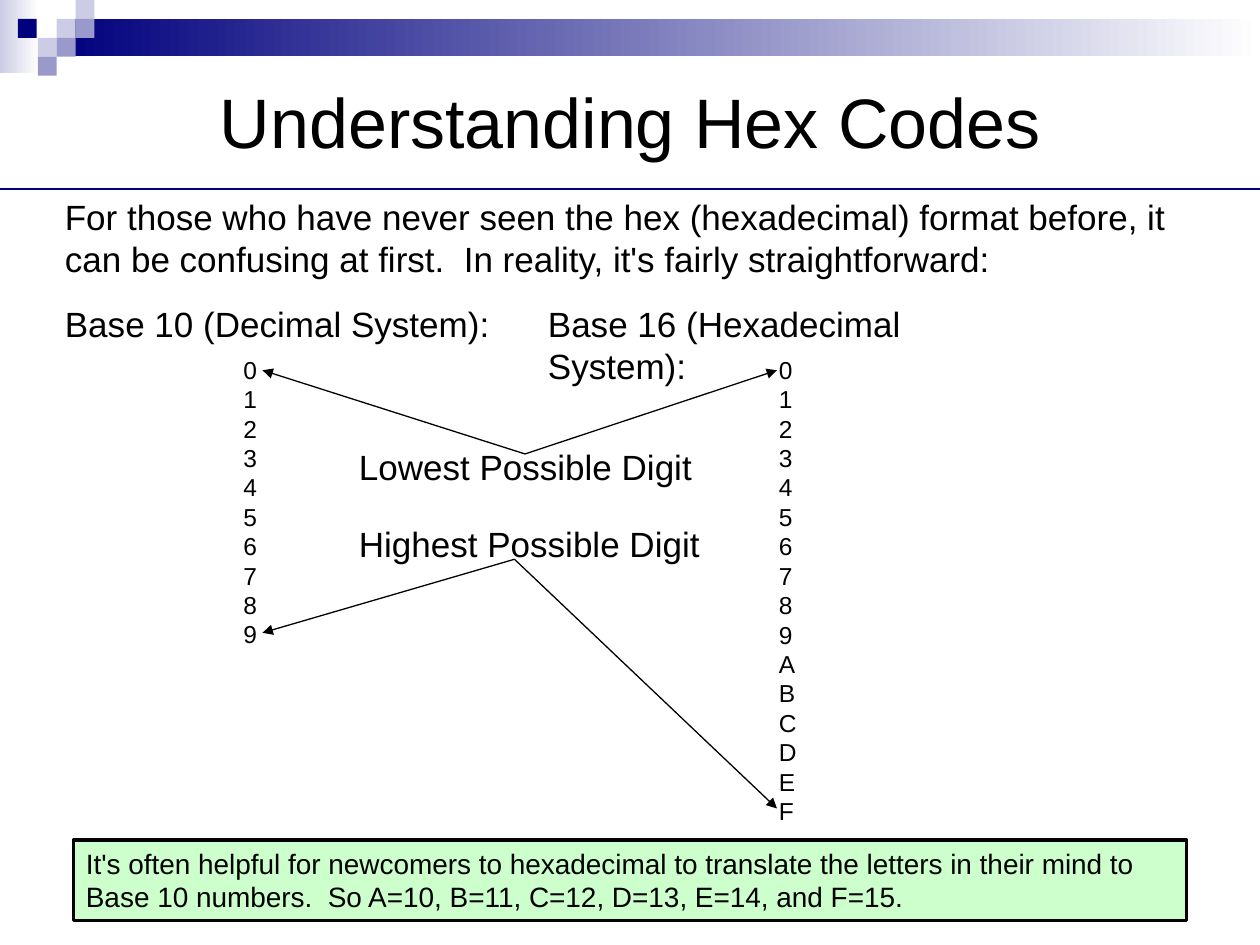
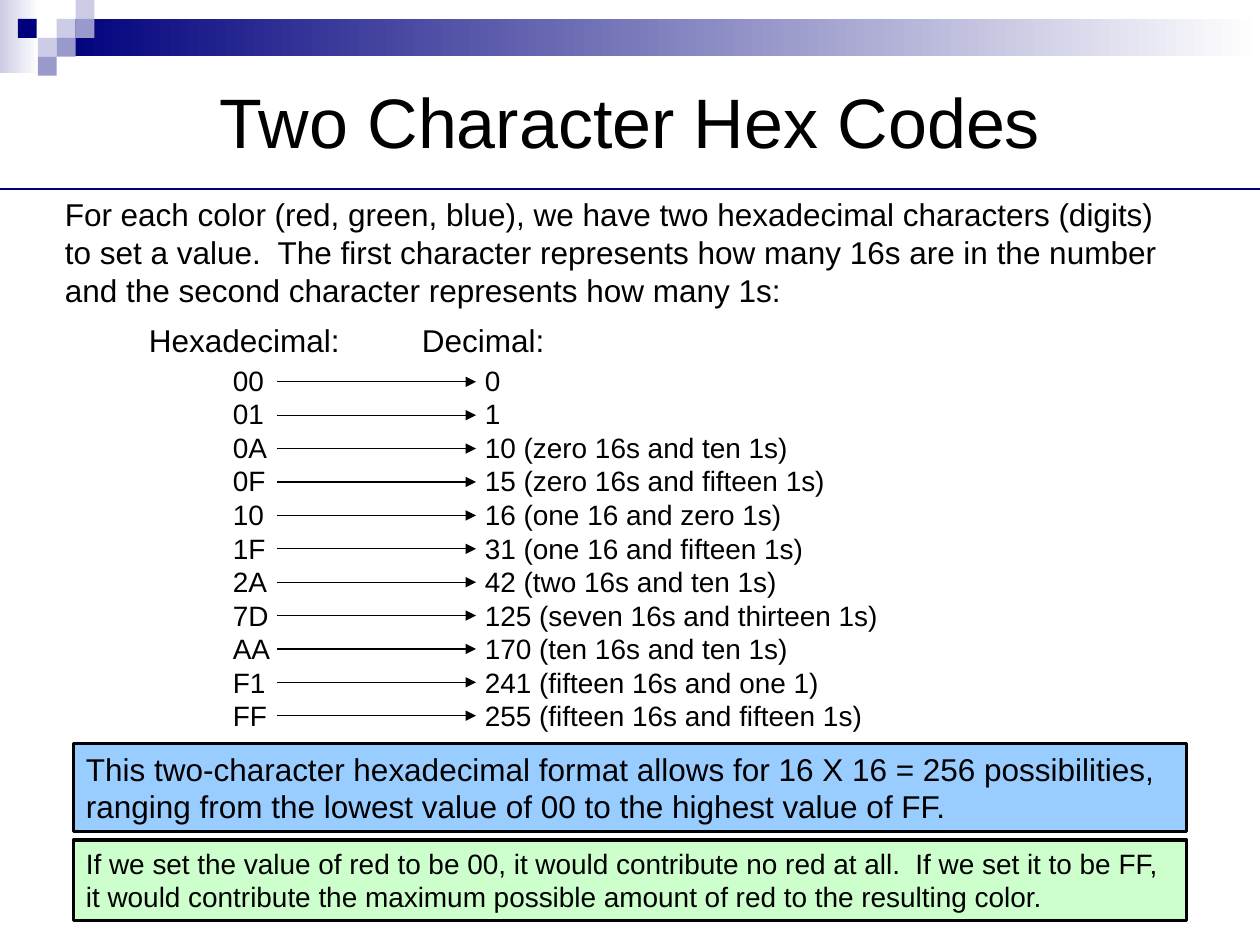
from dataclasses import dataclass

from pptx import Presentation
from pptx.dml.color import RGBColor
from pptx.enum.shapes import MSO_CONNECTOR as CONN, MSO_SHAPE as SHAPE
from pptx.enum.text import MSO_ANCHOR as ANCHOR, MSO_AUTO_SIZE as FIT, PP_ALIGN as ALIGN
from pptx.oxml.ns import qn
from pptx.util import Pt

# Shared look
FONT = "Arial"
BLACK, WHITE = "000000", "FFFFFF"
NAVY, LILAC, LAVENDER = "00007D", "9999CC", "CCCCE6"
MINT, SKY = "CCFFCC", "99CCFF"
SLIDE_W, SLIDE_H = 720, 540
RULE_Y = 108
CELL = 10.8  # side of one square of the corner mosaic


@dataclass
class Box:
    left: float
    top: float
    width: float
    height: float

    def emu(self):
        return Pt(self.left), Pt(self.top), Pt(self.width), Pt(self.height)


@dataclass
class Label:
    box: Box
    lines: list[str]
    size: float


@dataclass
class Callout:
    box: Box
    text: str
    size: float
    fill: str


@dataclass
class Arrow:
    x1: float
    y1: float
    x2: float
    y2: float


# Corner mosaic: left, top, colour
SQUARES = [
    (32.4, CELL, LAVENDER), (43.2, 0, LAVENDER), (43.2, CELL, LILAC),
    (21.6, 21.6, LAVENDER), (10.2, CELL, NAVY), (32.4, 21.6, LILAC),
    (21.6, 32.4, LILAC),
]
BANDS = [(Box(0, 0, 22.3, 41.8), LAVENDER), (Box(32.4, CELL, 687.6, 21.4), NAVY)]
NOTE_BOX = Box(42, 480, 636, 46)


def rgb(color: str) -> RGBColor:
    return RGBColor.from_string(color)


def write(tf, lines, *, size, color=BLACK, align=ALIGN.LEFT, anchor=ANCHOR.TOP,
          fit=FIT.NONE, gap=0):
    """Fill a text frame with one paragraph per line."""
    tf.word_wrap, tf.auto_size, tf.vertical_anchor = True, fit, anchor
    for i, line in enumerate(lines):
        p = tf.add_paragraph() if i else tf.paragraphs[0]
        p.alignment = align
        p.space_before = p.space_after = Pt(gap)
        r = p.add_run()
        r.text = line
        r.font.name, r.font.size = FONT, Pt(size)
        r.font.color.rgb = rgb(color)


def add_rect(s, box: Box, fill: str, *, fade_to=None, line=None):
    sp = s.shapes.add_shape(SHAPE.RECTANGLE, *box.emu())
    sp.shadow.inherit = False
    if fade_to:
        sp.fill.gradient()
        sp.fill.gradient_angle = 0
        for stop, color in zip(sp.fill.gradient_stops, (fill, fade_to)):
            stop.color.rgb = rgb(color)
    else:
        sp.fill.solid()
        sp.fill.fore_color.rgb = rgb(fill)
    if line:
        sp.line.color.rgb = rgb(line)
        sp.line.width = Pt(2)
    else:
        sp.line.fill.background()
    return sp


def add_line(s, a: Arrow, *, color=BLACK, width=0.75, arrow=True):
    c = s.shapes.add_connector(CONN.STRAIGHT, Pt(a.x1), Pt(a.y1), Pt(a.x2), Pt(a.y2))
    c.line.color.rgb = rgb(color)
    c.line.width = Pt(width)
    sp_pr = c.element.spPr
    if arrow:
        ln = sp_pr.find(qn("a:ln"))
        ln.append(ln.makeelement(qn("a:tailEnd"), {"type": "triangle"}))
    sp_pr.append(sp_pr.makeelement(qn("a:effectLst"), {}))


def add_label(s, label: Label):
    sp = s.shapes.add_textbox(*label.box.emu())
    write(sp.text_frame, label.lines, size=label.size)


def add_callout(s, note: Callout):
    sp = add_rect(s, note.box, note.fill, line=BLACK)
    write(sp.text_frame, [note.text], size=note.size, fit=FIT.SHAPE_TO_FIT_TEXT, gap=6)


def decorate_master(prs, s):
    """Draw the top band and mosaic, then move them behind the master's placeholders."""
    parts = [add_rect(s, box, color, fade_to=WHITE) for box, color in BANDS]
    parts += [add_rect(s, Box(x, y, CELL, CELL), color) for x, y, color in SQUARES]
    tree = prs.slide_master.shapes.element
    for i, sp in enumerate(parts):
        sp.element.nvSpPr.cNvPr.set("id", str(100 + i))
        tree.insert(2 + i, sp.element)


def add_slide(prs, title: str, labels: list[Label], arrows: list[Arrow],
              notes: list[Callout]):
    s = prs.slides.add_slide(prs.slide_layouts[5])
    head = s.shapes.title
    head.left, head.top, head.width, head.height = Box(36, 30, 648, 78).emu()
    write(head.text_frame, [title], size=40, align=ALIGN.CENTER, anchor=ANCHOR.MIDDLE)
    add_line(s, Arrow(0, RULE_Y, SLIDE_W, RULE_Y), color=NAVY, width=1.25, arrow=False)
    for label in labels:
        add_label(s, label)
    for arrow in arrows:
        add_line(s, arrow)
    for note in notes:
        add_callout(s, note)
    return s


def digits_slide(prs):
    labels = [
        Label(Box(30, RULE_Y, 654, 60), [
            "For those who have never seen the hex (hexadecimal) format before, it can be "
            "confusing at first.  In reality, it's fairly straightforward:"], 20),
        Label(Box(132, 199.2, 36, 174), list("0123456789"), 14),
        Label(Box(438, 199.2, 36, 276), list("0123456789ABCDEF"), 14),
        Label(Box(30, 169.2, 270, 30), ["Base 10 (Decimal System):"], 20),
        Label(Box(306, 169.2, 300, 30), ["Base 16 (Hexadecimal System):"], 20),
        Label(Box(198, 250.8, 210, 30), ["Lowest Possible Digit"], 20),
        Label(Box(198, 295.2, 210, 30), ["Highest Possible Digit"], 20),
    ]
    left_x, right_x = 150, 444
    arrows = [
        Arrow(300, 259.4, left_x, 211.6), Arrow(300, 259.4, right_x, 211.6),
        Arrow(294, 319.6, left_x, 361.6), Arrow(294, 319.6, right_x, 462),
    ]
    note = Callout(NOTE_BOX, (
        "It's often helpful for newcomers to hexadecimal to translate the letters in their "
        "mind to Base 10 numbers.  So A=10, B=11, C=12, D=13, E=14, and F=15."), 16, MINT)
    return add_slide(prs, "Understanding Hex Codes", labels, arrows, [note])


def codes_slide(prs):
    codes = {
        "00": "0",
        "01": "1",
        "0A": "10 (zero 16s and ten 1s)",
        "0F": "15 (zero 16s and fifteen 1s)",
        "10": "16 (one 16 and zero 1s)",
        "1F": "31 (one 16 and fifteen 1s)",
        "2A": "42 (two 16s and ten 1s)",
        "7D": "125 (seven 16s and thirteen 1s)",
        "AA": "170 (ten 16s and ten 1s)",
        "F1": "241 (fifteen 16s and one 1)",
        "FF": "255 (fifteen 16s and fifteen 1s)",
    }
    labels = [
        Label(Box(30, RULE_Y, 654, 72), [
            "For each color (red, green, blue), we have two hexadecimal characters (digits) "
            "to set a value.  The first character represents how many 16s are in the number "
            "and the second character represents how many 1s:"], 18),
        Label(Box(126, 204, 48, 222), list(codes), 16),
        Label(Box(270, 204, 258, 222), list(codes.values()), 16),
        Label(Box(78, 180, 144, 30), ["Hexadecimal:"], 18),
        Label(Box(234, 180, 96, 30), ["Decimal:"], 18),
    ]
    first_y, pitch = 218.2, 19.08
    rows = [first_y + pitch * i for i in range(len(codes))]
    arrows = [Arrow(158.2, y, 272, y) for y in rows]
    notes = [
        Callout(Box(42, 424.8, 636, 50.4), (
            "This two-character hexadecimal format allows for 16 X 16 = 256 possibilities, "
            "ranging from the lowest value of 00 to the highest value of FF."), 18, SKY),
        Callout(NOTE_BOX, (
            "If we set the value of red to be 00, it would contribute no red at all.  If we "
            "set it to be FF, it would contribute the maximum possible amount of red to the "
            "resulting color."), 16, MINT),
    ]
    return add_slide(prs, "Two Character Hex Codes", labels, arrows, notes)


def main():
    prs = Presentation()
    prs.slide_width, prs.slide_height = Pt(SLIDE_W), Pt(SLIDE_H)
    first = digits_slide(prs)
    codes_slide(prs)
    decorate_master(prs, first)
    prs.save("out.pptx")


if __name__ == "__main__":
    main()
